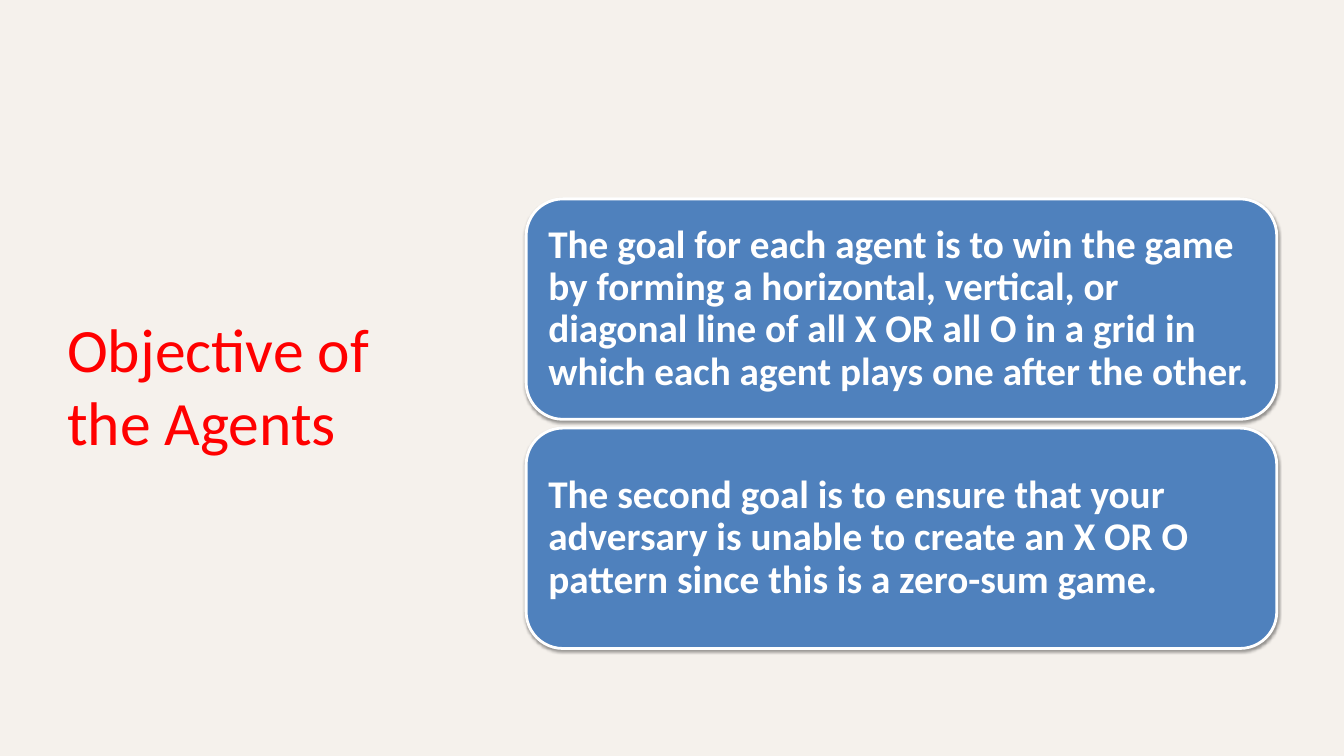
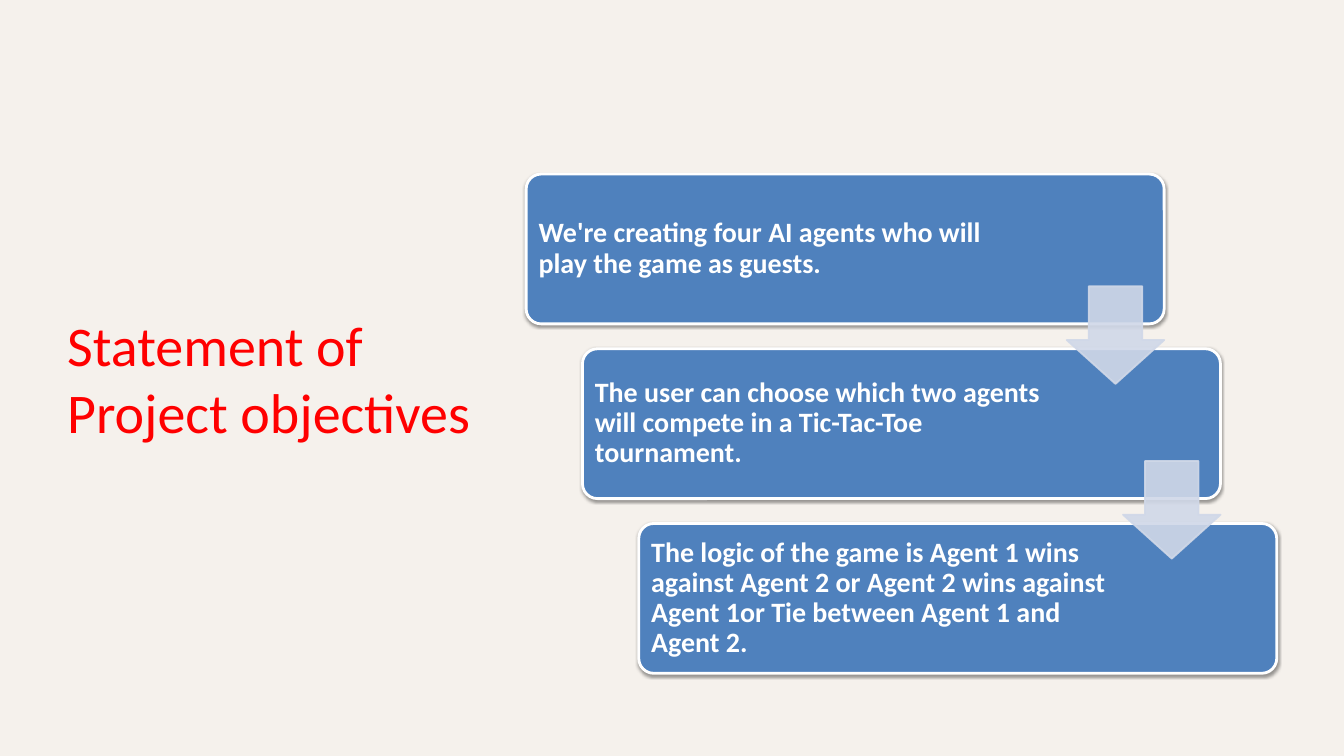
"""Build two slides on the goals of the game agents: stacked cards and a staircase of steps."""

from lxml.etree import SubElement
from pptx import Presentation
from pptx.dml.color import RGBColor
from pptx.enum.shapes import MSO_SHAPE
from pptx.enum.text import MSO_ANCHOR, PP_ALIGN
from pptx.oxml.ns import qn
from pptx.util import Inches, Pt

CREAM = RGBColor(0xF5, 0xF1, 0xEC)
RED = RGBColor(0xFF, 0x00, 0x00)
BLUE = RGBColor(0x4F, 0x81, 0xBD)
PALE_BLUE = RGBColor(0xD0, 0xD8, 0xE8)
WHITE = RGBColor(0xFF, 0xFF, 0xFF)
FONT = "Calibri"

SLIDE_WIDTH, SLIDE_HEIGHT = 20, 11.25
MARGIN = SLIDE_WIDTH / 20
TITLE_TOP = 4.62
CARDS_LEFT = 7.83
CARDS_WIDTH = SLIDE_WIDTH - MARGIN - CARDS_LEFT


def add_titled_slide(title, width, height, size):
    slide = presentation.slides.add_slide(presentation.slide_layouts[6])
    slide.background.fill.solid()
    slide.background.fill.fore_color.rgb = CREAM
    box = slide.shapes.add_textbox(Inches(MARGIN), Inches(TITLE_TOP), Inches(width), Inches(height))
    frame = box.text_frame
    frame.word_wrap = True
    frame.margin_left = frame.margin_right = frame.margin_top = frame.margin_bottom = 0
    frame.text = title
    font = frame.paragraphs[0].runs[0].font
    font.name, font.size, font.color.rgb = FONT, Pt(size), RED
    return slide


def add_card(slide, text, left, top, width, height, corner, size, inset, right_inset):
    card = slide.shapes.add_shape(
        MSO_SHAPE.ROUNDED_RECTANGLE, Inches(left), Inches(top), Inches(width), Inches(height)
    )
    card.adjustments[0] = corner
    card.fill.solid()
    card.fill.fore_color.rgb = BLUE
    card.line.color.rgb = WHITE
    card.line.width = Pt(3)
    card.shadow.inherit = False
    effects = card.element.spPr.find(qn("a:effectLst"))
    shadow = SubElement(effects, qn("a:outerShdw"), blurRad="40000", dist="20000", dir="5400000", rotWithShape="0")
    shadow_color = SubElement(shadow, qn("a:srgbClr"), val="000000")
    SubElement(shadow_color, qn("a:alpha"), val="38000")

    frame = card.text_frame
    frame.word_wrap = True
    frame.vertical_anchor = MSO_ANCHOR.MIDDLE
    frame.margin_left = frame.margin_top = frame.margin_bottom = Inches(inset)
    frame.margin_right = Inches(right_inset)
    frame.text = text
    paragraph = frame.paragraphs[0]
    paragraph.alignment = PP_ALIGN.LEFT
    paragraph.line_spacing = 0.9
    font = paragraph.runs[0].font
    font.name, font.size, font.bold, font.color.rgb = FONT, Pt(size), True, WHITE


presentation = Presentation()
presentation.slide_width = Inches(SLIDE_WIDTH)
presentation.slide_height = Inches(SLIDE_HEIGHT)

goals = [
    "The goal for each agent is to win the game by forming a horizontal, vertical, or diagonal line "
    "of all X OR all O in a grid in which each agent plays one after the other.",
    "The second goal is to ensure that your adversary is unable to create an X OR O pattern "
    "since this is a zero-sum game.",
]
GOALS_TOP, GOAL_HEIGHT, GOAL_GAP = 2.96, 3.28, 0.13

goals_slide = add_titled_slide("Objective of the Agents", 4.83, 2.22, 66)
for row, goal in enumerate(goals):
    goal_top = GOALS_TOP + row * (GOAL_HEIGHT + GOAL_GAP)
    add_card(goals_slide, goal, CARDS_LEFT, goal_top, CARDS_WIDTH, GOAL_HEIGHT, 1 / 6, 42, 0.17, 0.17)

steps = [
    "We're creating four AI agents who will play the game as guests.",
    "The user can choose which two agents will compete in a Tic-Tac-Toe tournament.",
    "The logic of the game is Agent 1 wins against Agent 2 or Agent 2 wins against Agent 1or Tie "
    "between Agent 1 and Agent 2.",
]
STEPS_TOP, STEP_HEIGHT, STEP_GAP = 2.59, 2.23, 0.37
STEP_WIDTH = CARDS_WIDTH * 0.85
STEP_INDENT = (CARDS_WIDTH - STEP_WIDTH) / (len(steps) - 1)
ARROW_SIZE = STEP_HEIGHT * 0.65
ARROW_DROP = STEP_HEIGHT * 0.75

steps_slide = add_titled_slide("Statement of Project objectives", 6.33, 2.02, 60)
step_corners = [
    (CARDS_LEFT + row * STEP_INDENT, STEPS_TOP + row * (STEP_HEIGHT + STEP_GAP))
    for row in range(len(steps))
]
for step, (left, top) in zip(steps, step_corners):
    add_card(steps_slide, step, left, top, STEP_WIDTH, STEP_HEIGHT, 0.1, 30, 0.12, 2.4)

for left, top in step_corners[:-1]:
    arrow = steps_slide.shapes.add_shape(
        MSO_SHAPE.DOWN_ARROW,
        Inches(left + STEP_WIDTH - ARROW_SIZE),
        Inches(top + ARROW_DROP),
        Inches(ARROW_SIZE),
        Inches(ARROW_SIZE),
    )
    arrow.adjustments[0], arrow.adjustments[1] = 0.55, 0.45
    arrow.shadow.inherit = False
    arrow.fill.solid()
    arrow.fill.fore_color.rgb = PALE_BLUE
    arrow.line.color.rgb = PALE_BLUE
    arrow.line.width = Pt(2)
    for color in arrow.element.spPr.iter(qn("a:srgbClr")):
        SubElement(color, qn("a:alpha"), val="90000")

presentation.save("out.pptx")
